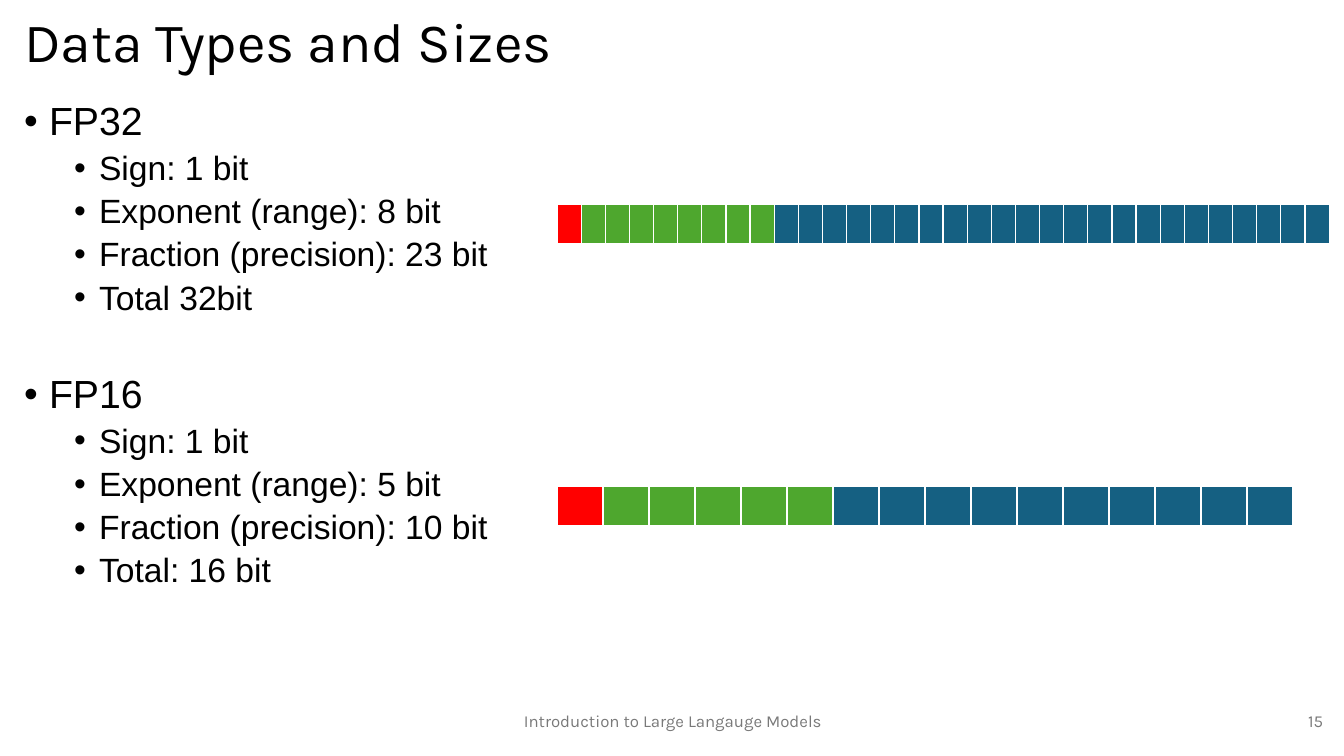
from pptx import Presentation
from pptx.dml.color import RGBColor
from pptx.enum.text import MSO_ANCHOR, MSO_AUTO_SIZE, PP_ALIGN
from pptx.oxml.ns import qn
from pptx.util import Pt
from lxml.etree import SubElement

SCALE = 914400 / 100.8
MIDDLE, TOP = MSO_ANCHOR.MIDDLE, MSO_ANCHOR.TOP
LEFT, CENTER, RIGHT = PP_ALIGN.LEFT, PP_ALIGN.CENTER, PP_ALIGN.RIGHT
FIXED = MSO_AUTO_SIZE.NONE
COLORS = {
    "text": "000000",
    "muted": "797979",
    "line": "FFFFFF",
    "sign": "FF0000",
    "range": "4EA72E",
    "fraction": "156082",
}
BORDERS = {"lnL": 1, "lnR": 1, "lnT": 1, "lnB": 3}


def px(n):
    return round(n * SCALE)


class Deck:
    head_font = "Karla"
    body_font = "Arial"

    def __init__(self, width, height):
        self.show = Presentation()
        self.show.slide_width, self.show.slide_height = px(width), px(height)
        self.slide = self.show.slides.add_slide(self.show.slide_layouts[1])

    def place(self, shape, box, anchor):
        shape.left, shape.top, shape.width, shape.height = map(px, box)
        frame = shape.text_frame
        frame.word_wrap = True
        frame.auto_size = FIXED
        frame.vertical_anchor = anchor
        return frame

    def run(self, para, text, size, font, color):
        run = para.add_run()
        run.text = text
        run.font.size = Pt(size)
        run.font.name = font
        run.font.color.rgb = RGBColor.from_string(COLORS[color])

    def title(self, text, box):
        para = self.place(self.slide.shapes.title, box, MIDDLE).paragraphs[0]
        para.alignment = LEFT
        para.line_spacing = 0.9
        self.run(para, text, 39.6, self.head_font, "text")

    def list(self, groups, box):
        frame = self.place(self.slide.placeholders[1], box, TOP)
        para = frame.paragraphs[0]
        for i, (name, items) in enumerate(groups):
            if i:
                para = frame.add_paragraph()
            self.bullet(para, name, 0, 28, 41 if i else 10)
            for item in items:
                self.bullet(frame.add_paragraph(), item, 1, 24, 5)

    def bullet(self, para, text, level, size, before):
        para.level = level
        para.alignment = LEFT
        para.line_spacing = 0.9
        para.space_before = Pt(before)
        props = para._p.get_or_add_pPr()
        props.set("marL", str(px(25 + 50 * level)))
        props.set("indent", str(-px(25)))
        SubElement(props, qn("a:buFont")).set("typeface", self.body_font)
        SubElement(props, qn("a:buChar")).set("char", "•")
        self.run(para, text, size, self.body_font, "text")

    def note(self, text, box, align):
        shape = self.slide.shapes.add_textbox(*map(px, box))
        para = self.place(shape, box, MIDDLE).paragraphs[0]
        para.alignment = align
        self.run(para, text, 12, self.head_font, "muted")

    def bits(self, parts, left, top, cell, height):
        kinds = [kind for kind, count in parts.items() for _ in range(count)]
        width = cell * len(kinds)
        frame = self.slide.shapes.add_table(
            1, len(kinds), px(left), px(top), px(width), px(height))
        table = frame.table
        table.first_row = table.horz_banding = False
        for i, kind in enumerate(kinds):
            table.columns[i].width = px(cell)
            self.fill(table.cell(0, i), kind)

    def fill(self, cell, kind):
        props = cell._tc.get_or_add_tcPr()
        for side, points in BORDERS.items():
            line = SubElement(props, qn(f"a:{side}"), w=str(Pt(points)))
            paint = SubElement(line, qn("a:solidFill"))
            SubElement(paint, qn("a:srgbClr")).set("val", COLORS["line"])
        cell.fill.solid()
        cell.fill.fore_color.rgb = RGBColor.from_string(COLORS[kind])


def main():
    deck = Deck(1344, 756)
    deck.title("Data Types and Sizes", (14, 9, 1315, 71))
    deck.list([
        ("FP32", ["Sign: 1 bit", "Exponent (range): 8 bit",
                  "Fraction (precision): 23 bit", "Total 32bit"]),
        ("FP16", ["Sign: 1 bit", "Exponent (range): 5 bit",
                  "Fraction (precision): 10 bit", "Total: 16 bit"]),
    ], (14, 97, 1315, 604))
    deck.note("Introduction to Large Langauge Models", (446, 701, 454, 40), CENTER)
    deck.note("15", (1031, 701, 302, 40), RIGHT)
    deck.bits({"sign": 1, "range": 8, "fraction": 23}, 557, 204, 23, 41)
    deck.bits({"sign": 1, "range": 5, "fraction": 10}, 557, 486, 46, 41)
    deck.show.save("out.pptx")


if __name__ == "__main__":
    main()
